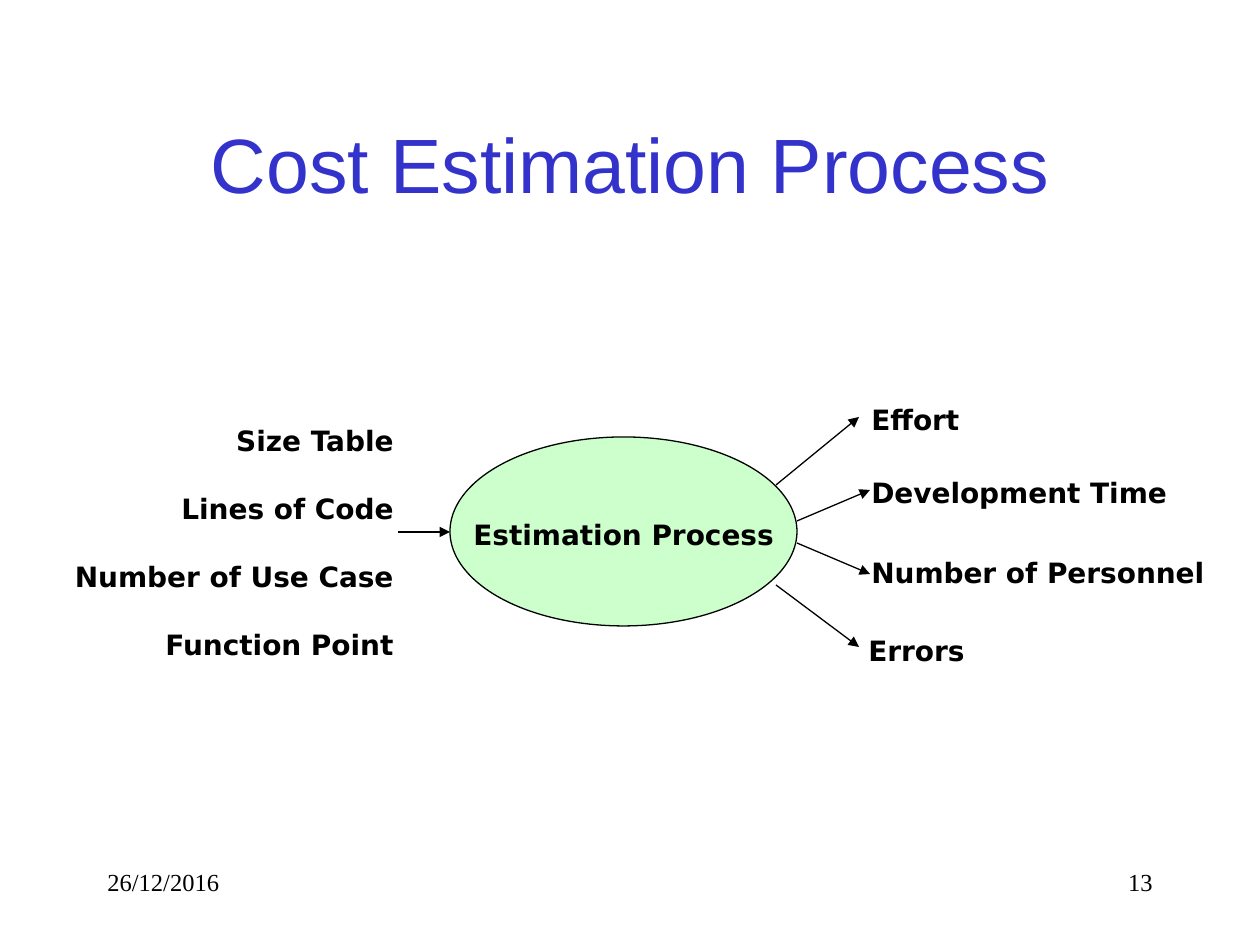
"""Build the cost estimation process slide."""
import pptx
import pptx.dml.color
import pptx.enum.shapes
import pptx.enum.text
import pptx.oxml
import pptx.oxml.ns
import pptx.util

PX = pptx.util.Inches(1) / 126
ALIGN = pptx.enum.text.PP_ALIGN
ANCHOR = pptx.enum.text.MSO_ANCHOR
BLACK = "000000"
LABEL = {"name": "DejaVu Sans", "size": pptx.util.Pt(16), "bold": True}
FOOTER = {"name": "Times New Roman", "size": pptx.util.Pt(14)}
TITLE = {"name": "Arial", "size": pptx.util.Pt(44)}

INPUTS = ["Size Table", "Lines of Code", "Number of Use Case", "Function Point"]
OUTPUTS = [
    ("Effort", (859, 396, 142, 47)),
    ("Development Time", (859, 469, 378, 47)),
    ("Number of Personnel", (859, 549, 368, 47)),
    ("Errors", (856, 627, 142, 47)),
]
ARROWS = [
    (398, 532, 450, 532),
    (776, 485, 859, 417),
    (797, 521, 870, 490),
    (797, 543, 870, 574),
    (776, 585, 859, 647),
]


def emu(*lengths):
    """Turn px lengths into EMU."""
    return [pptx.util.Emu(round(length * PX)) for length in lengths]


def color(value):
    """Return the colour of a hex string."""
    return pptx.dml.color.RGBColor.from_string(value)


def set_line(line):
    """Give a line the thin black style."""
    line.color.rgb = color(BLACK)
    line.width = pptx.util.Pt(0.75)


def add_text(slide, box, lines, font, align=ALIGN.LEFT, anchor=ANCHOR.TOP,
             hex_color=BLACK, gap=0):
    """Add a text box with one paragraph per line."""
    frame = slide.shapes.add_textbox(*emu(*box)).text_frame
    frame.word_wrap = True
    frame.vertical_anchor = anchor
    for index, text in enumerate(lines):
        paragraph = frame.paragraphs[0] if index == 0 else frame.add_paragraph()
        paragraph.text = text
        paragraph.alignment = align
        if index:
            paragraph.space_before = pptx.util.Pt(gap)
        for name, value in font.items():
            setattr(paragraph.font, name, value)
        paragraph.font.color.rgb = color(hex_color)


def add_ellipse(slide, box, fill):
    """Add an outlined ellipse."""
    shape = slide.shapes.add_shape(pptx.enum.shapes.MSO_SHAPE.OVAL, *emu(*box))
    shape.shadow.inherit = False
    shape.fill.solid()
    shape.fill.fore_color.rgb = color(fill)
    set_line(shape.line)


def add_arrow(slide, ends):
    """Add a straight arrow pointing at its second end."""
    connector = slide.shapes.add_connector(
        pptx.enum.shapes.MSO_CONNECTOR.STRAIGHT, *emu(*ends))
    set_line(connector.line)
    head = pptx.oxml.parse_xml(
        f'<a:tailEnd {pptx.oxml.ns.nsdecls("a")} type="triangle"/>')
    connector.line._get_or_add_ln().append(head)
    connector._element.spPr.append(
        pptx.oxml.parse_xml(f'<a:effectLst {pptx.oxml.ns.nsdecls("a")}/>'))


def main():
    """Build and save the slide."""
    presentation = pptx.Presentation()
    presentation.slide_width, presentation.slide_height = emu(1260, 945)
    slide = presentation.slides.add_slide(presentation.slide_layouts[6])

    add_text(slide, (95, 84, 1071, 158), ["Cost Estimation Process"], TITLE,
             ALIGN.CENTER, ANCHOR.MIDDLE, "3333CC")
    add_text(slide, (59, 417, 347, 242), INPUTS, LABEL, ALIGN.RIGHT, gap=19.7)
    add_ellipse(slide, (450, 437, 347, 189), "CCFFCC")
    add_text(slide, (461, 511, 347, 47), ["Estimation Process"], LABEL)
    for text, box in OUTPUTS:
        add_text(slide, box, [text], LABEL)
    for ends in ARROWS:
        add_arrow(slide, ends)
    add_text(slide, (95, 861, 262, 63), ["26/12/2016"], FOOTER)
    add_text(slide, (903, 861, 262, 63), ["13"], FOOTER, ALIGN.RIGHT)

    presentation.save("out.pptx")


if __name__ == "__main__":
    main()
